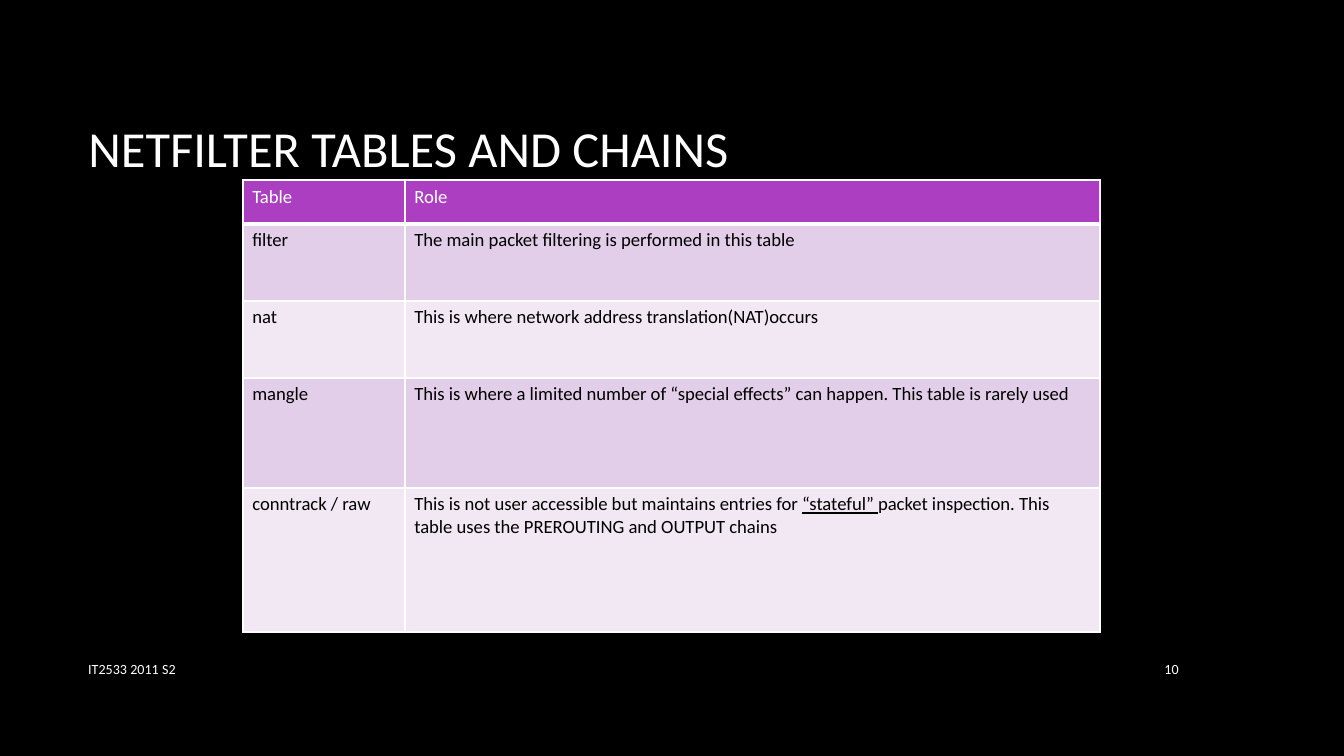
from lxml import etree
from pptx import Presentation
from pptx import util as u
from pptx.dml.color import RGBColor
from pptx.enum import text
from pptx.oxml import ns

SCALE = 914400 / 134.4
WHITE, BLACK = "FFFFFF", "000000"
HEAD, BANDS = "AC3EC1", ("E3CEE9", "F1E8F4")
COLS = (162, 695)
ROWS = (44, 77, 77, 110, 144)
CELLS = (
    (("Table",), ("Role",)),
    (("filter",), ("The main packet filtering is performed in this table",)),
    (("nat",), ("This is where network address translation(NAT)occurs",)),
    (("mangle",), ("This is where a limited number of “special effects” can happen. "
                   "This table is rarely used",)),
    (("conntrack / raw",), ("This is not user accessible but maintains entries for ",
                            "“stateful” ",
                            "packet inspection. This table uses the PREROUTING and OUTPUT chains")),
)


def px(n):
    return u.Emu(round(n * SCALE))


def rgb(code):
    return RGBColor.from_string(code)


class Deck:
    font = "Calibri"

    def __init__(self, wide, high):
        self.prs = Presentation()
        self.prs.slide_width, self.prs.slide_height = px(wide), px(high)
        self.slide = None

    def page(self, color):
        self.slide = self.prs.slides.add_slide(self.prs.slide_layouts[5])
        fill = self.slide.background.fill
        fill.solid()
        fill.fore_color.rgb = rgb(color)

    def style(self, par, size, color, align=text.PP_ALIGN.LEFT):
        par.alignment = align
        par.font.name = self.font
        par.font.size = u.Pt(size)
        par.font.color.rgb = rgb(color)

    def fit(self, shape, box, words, size, align=text.PP_ALIGN.LEFT):
        shape.left, shape.top, shape.width, shape.height = map(px, box)
        frame = shape.text_frame
        frame.text = words
        frame.word_wrap = True
        frame.auto_size = text.MSO_AUTO_SIZE.NONE
        frame.vertical_anchor = text.MSO_ANCHOR.MIDDLE
        self.style(frame.paragraphs[0], size, WHITE, align)

    def title(self, box, words, size):
        self.fit(self.slide.shapes.title, box, words, size)

    def label(self, box, words, size, align=text.PP_ALIGN.LEFT):
        shape = self.slide.shapes.add_textbox(*map(px, box))
        self.fit(shape, box, words, size, align)

    def edge(self, cell, side, width):
        props = cell._tc.get_or_add_tcPr()
        line = etree.SubElement(props, ns.qn(f"a:ln{side}"), w=str(u.Pt(width)))
        fill = etree.SubElement(line, ns.qn("a:solidFill"))
        etree.SubElement(fill, ns.qn("a:srgbClr"), val=WHITE)

    def cell(self, cell, runs, fill, color, base):
        for side in "LRTB":
            self.edge(cell, side, base if side == "B" else 1)
        cell.fill.solid()
        cell.fill.fore_color.rgb = rgb(fill)
        cell.margin_left = cell.margin_right = u.Inches(0.07)
        cell.margin_top = cell.margin_bottom = u.Inches(0.04)
        par = cell.text_frame.paragraphs[0]
        for i, words in enumerate(runs):
            run = par.add_run()
            run.text = words
            if i == 1:
                run.font.underline = True
        self.style(par, 10, color)

    def table(self, left, top, cols, rows, cells):
        frame = self.slide.shapes.add_table(len(rows), len(cols), px(left), px(top),
                                            px(sum(cols)), px(sum(rows)))
        grid = frame.table
        grid.first_row = grid.horz_banding = False
        for col, wide in zip(grid.columns, cols):
            col.width = px(wide)
        for r, (row, high) in enumerate(zip(grid.rows, rows)):
            row.height = px(high)
            look = (BANDS[(r - 1) % 2], BLACK, 1) if r else (HEAD, WHITE, 3)
            for cell, runs in zip(row.cells, cells[r]):
                self.cell(cell, runs, *look)


def main():
    deck = Deck(1344, 756)
    deck.page(BLACK)
    deck.title((75, 67, 1117, 160), "NETFILTER TABLES AND CHAINS", 27)
    deck.label((75, 648, 863, 41), "IT2533 2011 S2", 7.5)
    deck.label((1132, 648, 60, 41), "10", 7.5, text.PP_ALIGN.RIGHT)
    deck.table(243, 180, COLS, ROWS, CELLS)
    deck.prs.save("out.pptx")


if __name__ == "__main__":
    main()
